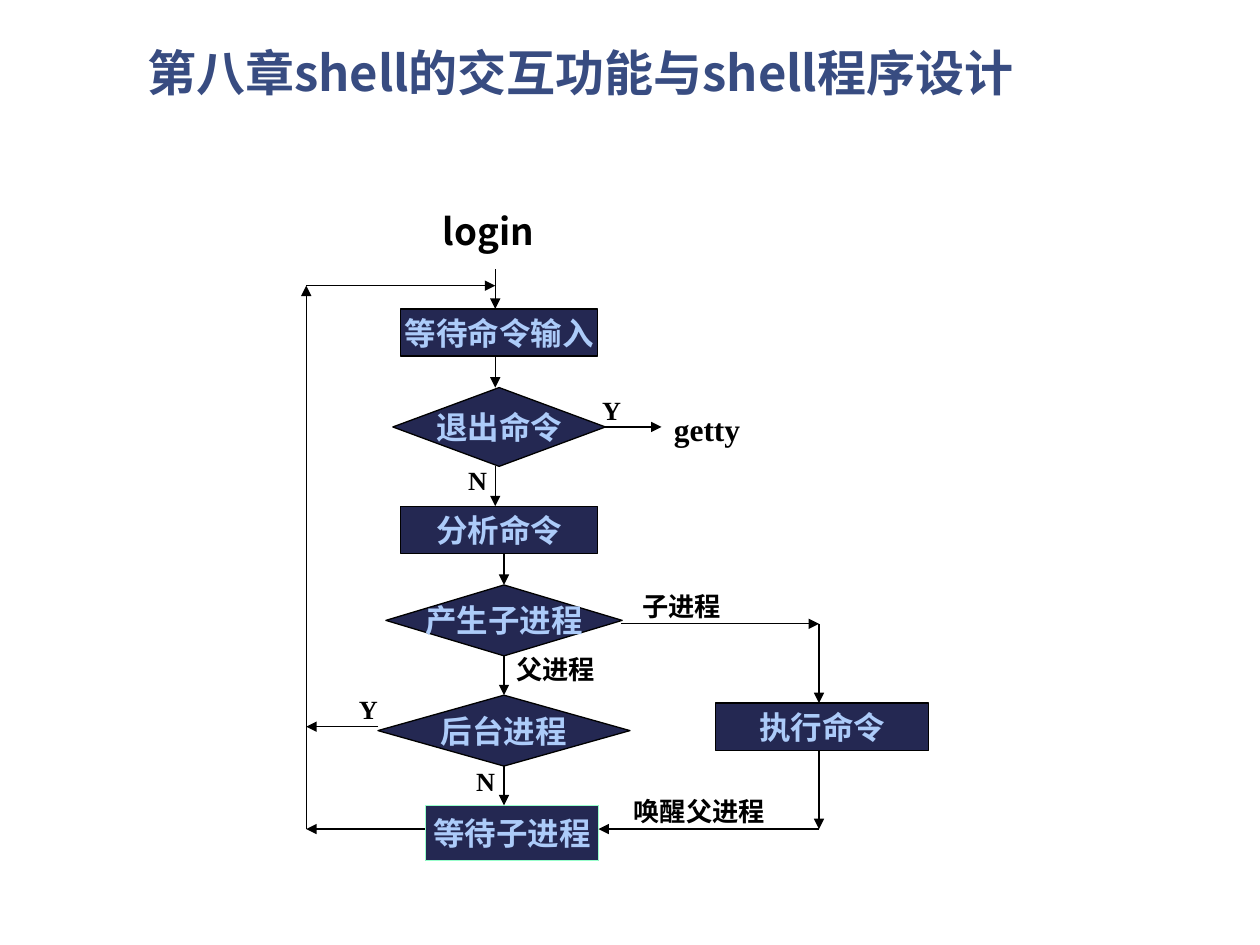
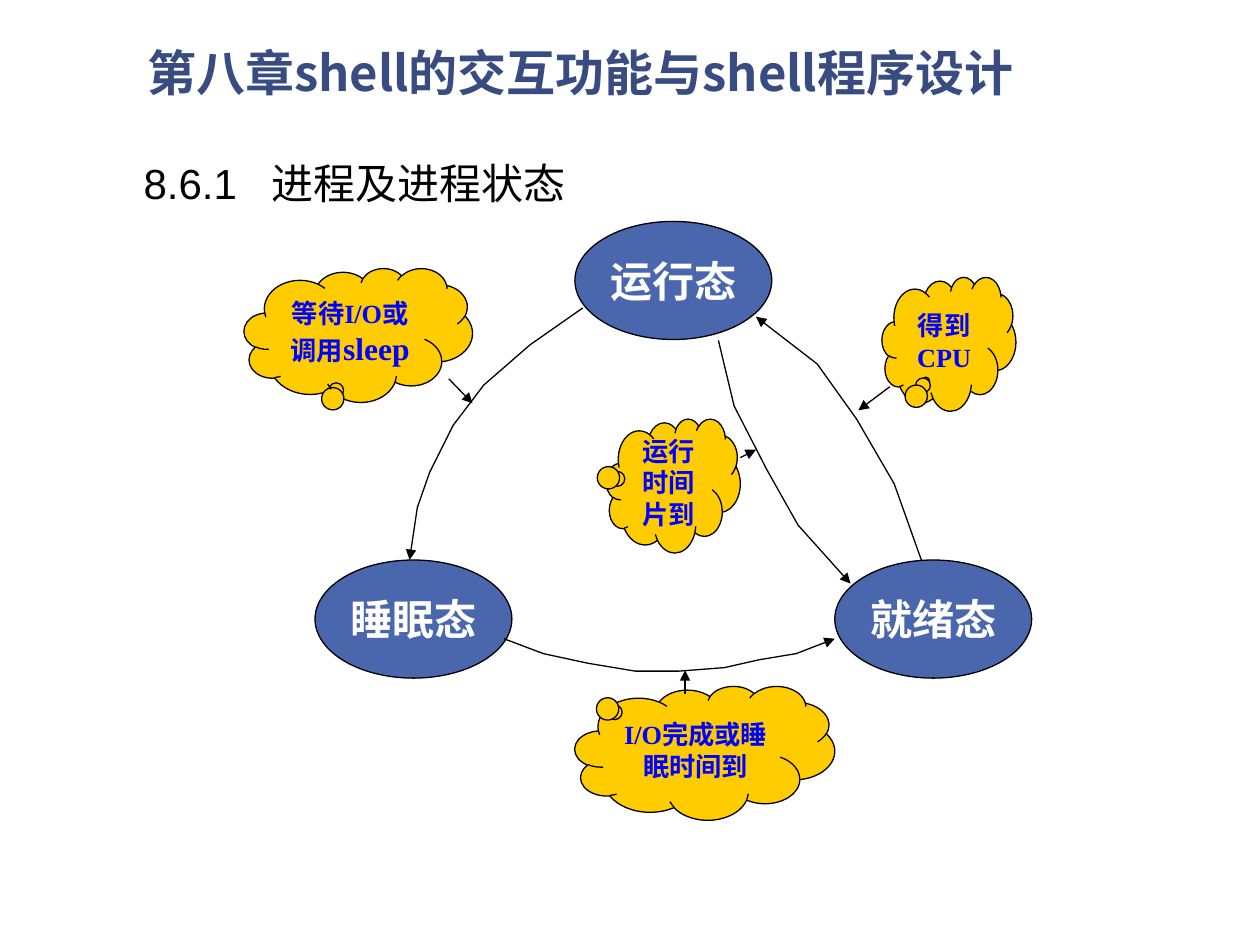
from lxml import etree
from pptx import Presentation
from pptx.dml.color import RGBColor
from pptx.enum.shapes import MSO_CONNECTOR, MSO_SHAPE
from pptx.enum.text import MSO_ANCHOR, MSO_AUTO_SIZE, PP_ALIGN
from pptx.oxml.ns import qn
from pptx.util import Pt

RECT, DECISION = MSO_SHAPE.RECTANGLE, MSO_SHAPE.FLOWCHART_DECISION
PROCESS, ELLIPSE = MSO_SHAPE.FLOWCHART_PROCESS, MSO_SHAPE.OVAL
CLOUD = MSO_SHAPE.CLOUD_CALLOUT
STRAIGHT = MSO_CONNECTOR.STRAIGHT
LEFT, CENTER = PP_ALIGN.LEFT, PP_ALIGN.CENTER
TOP, MIDDLE = MSO_ANCHOR.TOP, MSO_ANCHOR.MIDDLE
NO_FIT = MSO_AUTO_SIZE.NONE

CJK, SERIF, SANS = "Noto Sans CJK SC", "Times New Roman", "Arial"
BLACK, WHITE = "000000", "FFFFFF"
TITLE_BLUE, NAVY, PALE_BLUE = "384C81", "242852", "ACCBF9"
STATE_BLUE, GOLD, NOTE_BLUE, MINT = "4A66AC", "FFCC00", "0000FF", "99FFCC"
LINE_WIDTH = 0.75
CHAPTER = "第八章shell的交互功能与shell程序设计"

STEP_FONT = dict(size=Pt(18), name=SERIF, bold=True, color=PALE_BLUE)
LABEL_FONT = dict(size=Pt(15), name=SERIF, bold=True, color=BLACK)
STATE_FONT = dict(size=Pt(24), name=SERIF, bold=True, color=WHITE)
NOTE_FONT = dict(size=Pt(15), name=SERIF, bold=True, color=NOTE_BLUE)
TITLE_FONT = dict(size=Pt(28), name=CJK, bold=True, color=TITLE_BLUE)
LOGIN_FONT = dict(size=Pt(21), name=CJK, bold=True, color=BLACK)
HEADING_FONT = dict(size=Pt(24), name=SANS, bold=False, color=BLACK)


def rgb(value):
    return RGBColor.from_string(value)


def points(*values):
    return [Pt(value) for value in values]


def add_run(paragraph, text, font):
    run = paragraph.add_run()
    run.text = text
    for key, value in font.items():
        if key == "color":
            run.font.color.rgb = rgb(value)
        else:
            setattr(run.font, key, value)
    east_asian = etree.SubElement(run._r.get_or_add_rPr(), qn("a:ea"))
    east_asian.set("typeface", CJK)


def write(frame, text, font, align=LEFT, anchor=TOP, wrap=True):
    layout = dict(word_wrap=wrap, vertical_anchor=anchor, auto_size=NO_FIT)
    for key, value in layout.items():
        setattr(frame, key, value)
    paragraph = frame.paragraphs[0]
    paragraph.alignment = align
    add_run(paragraph, text, font)
    return paragraph


def draw_outline(line, color=BLACK):
    line.color.rgb = rgb(color)
    line.width = Pt(LINE_WIDTH)


def add_arrowhead(shape):
    tail = etree.SubElement(shape.line._get_or_add_ln(), qn("a:tailEnd"))
    tail.set("type", "triangle")


def add_titled_slide(prs):
    slide = prs.slides.add_slide(prs.slide_layouts[5])
    title = slide.shapes.title
    title.left, title.top, title.width, title.height = points(77, 26, 550, 34.5)
    paragraph = write(title.text_frame, CHAPTER, TITLE_FONT, anchor=MIDDLE)
    paragraph.line_spacing = 0.9
    return slide


def add_node(slide, kind, box, text, fill, font, wrap=False, outline=BLACK):
    node = slide.shapes.add_shape(kind, *points(*box))
    node.shadow.inherit = False
    node.fill.solid()
    node.fill.fore_color.rgb = rgb(fill)
    draw_outline(node.line, outline)
    write(node.text_frame, text, font, CENTER, MIDDLE, wrap)
    return node


def add_cloud(slide, box, text, tail):
    cloud = add_node(slide, CLOUD, box, text, GOLD, NOTE_FONT, wrap=True)
    cloud.adjustments[0], cloud.adjustments[1] = tail
    return cloud


def add_label(slide, box, text, font=LABEL_FONT):
    label = slide.shapes.add_textbox(*points(*box))
    return write(label.text_frame, text, font)


def add_arrow(slide, x1, y1, x2, y2):
    arrow = slide.shapes.add_connector(STRAIGHT, *points(x1, y1, x2, y2))
    draw_outline(arrow.line)
    add_arrowhead(arrow)
    etree.SubElement(arrow._element.spPr, qn("a:effectLst"))


def add_transition(slide, route):
    start, *rest = [points(x, y) for x, y in route]
    builder = slide.shapes.build_freeform(*start)
    builder.add_line_segments(rest, close=False)
    curve = builder.convert_to_shape()
    curve.shadow.inherit = False
    curve.fill.background()
    draw_outline(curve.line)
    add_arrowhead(curve)


def build_command_loop(prs):
    slide = add_titled_slide(prs)
    add_label(slide, (246, 116, 100, 36), "login", LOGIN_FONT)

    # Steps and decisions
    steps = [
        (RECT, (229, 176.5, 112.5, 27), "等待命令输入"),
        (RECT, (229, 289.25, 112.5, 27), "分析命令"),
        (DECISION, (224.5, 221.5, 121.5, 45), "退出命令"),
        (DECISION, (220.5, 334.25, 135, 40.5), "产生子进程"),
        (DECISION, (216, 397.25, 144, 40.5), "后台进程"),
        (RECT, (409, 401.75, 121.5, 27), "执行命令"),
    ]
    for kind, box, text in steps:
        add_node(slide, kind, box, text, NAVY, STEP_FONT)
    add_node(slide, PROCESS, (243, 460.25, 99, 31.5), "等待子进程",
             NAVY, STEP_FONT, outline=MINT)

    # Main flow downwards
    upper_x, lower_x = 283, 288
    for x, top, bottom in [
        (upper_x, 154, 176.5), (upper_x, 203.5, 221.5),
        (upper_x, 266.5, 289.25), (lower_x, 316.25, 334.25),
        (lower_x, 374.75, 397.25), (lower_x, 437.75, 460.25),
    ]:
        add_arrow(slide, x, top, x, bottom)

    # Exit, child branch and return loop
    loop_x, child_x = 175, 468
    loop_y, fork_y, wake_y, background_y = 163.25, 356.5, 473.75, 415.25
    for ends in [
        (346, 244, 378, 244),
        (355, fork_y, child_x, fork_y),
        (child_x, fork_y, child_x, 401.75),
        (child_x, 428.75, child_x, wake_y),
        (child_x, wake_y, 342, wake_y),
        (243, wake_y, loop_x, wake_y),
        (loop_x, wake_y, loop_x, loop_y),
        (loop_x, loop_y, upper_x, loop_y),
        (216, background_y, loop_x, background_y),
    ]:
        add_arrow(slide, *ends)

    # Branch labels
    add_label(slide, (378, 230.5, 72, 29), "getty", STEP_FONT | {"color": BLACK})
    for x, y, width, text in [
        (337, 221.5, 27, "Y"), (260.5, 262, 36, "N"),
        (360, 334, 78.5, "子进程"), (288, 370, 72, "父进程"),
        (355, 451, 104, "唤醒父进程"), (265, 433.5, 27, "N"),
        (198, 392.5, 31.5, "Y"),
    ]:
        add_label(slide, (x, y, width, 25), text)


def build_process_states(prs):
    slide = add_titled_slide(prs)

    # Section heading: number, tab, name
    heading = add_label(slide, (75, 86.5, 353.5, 36),
                        "8.6.1\t进程及进程状态", HEADING_FONT)
    tabs = etree.SubElement(heading._p.get_or_add_pPr(), qn("a:tabLst"))
    etree.SubElement(tabs, qn("a:tab"), pos=str(Pt(73)), algn="l")

    # States
    for x, y, state in [(328.5, 126.5, "运行态"), (477, 320, "就绪态"),
                        (180, 320, "睡眠态")]:
        add_node(slide, ELLIPSE, (x, y, 112.5, 67.5), state,
                 STATE_BLUE, STATE_FONT)

    # Transitions: run-sleep, sleep-ready, run-ready, ready-run
    for route in [
        [(333, 176), (303, 197), (276.5, 220), (259, 243), (245.5, 270),
         (238.5, 290), (234, 320)],
        [(288, 365), (310.5, 373.5), (336, 379), (363, 383.5), (388, 383.5),
         (414, 381.5), (434, 377), (455, 373.5), (477, 365)],
        [(410.5, 194.5), (419.5, 232), (438, 268), (456, 300), (486, 333.5)],
        [(526.5, 320), (511, 276.5), (489.5, 239.5), (467, 208), (432, 181)],
    ]:
        add_transition(slide, route)

    # Causes of the transitions
    waiting = add_cloud(slide, (139.5, 153.25, 130.5, 76.5), "等待I/O或调用",
                        (-0.094, 0.401))
    add_run(waiting.text_frame.paragraphs[0], "sleep",
            NOTE_FONT | {"size": Pt(18)})
    for box, cause, tail in [
        ((504, 158.25, 76.5, 76.5), "得到CPU", (-0.173, 0.277)),
        ((346.5, 239.25, 76.5, 76.5), "运行时间片到", (-0.406, -0.049)),
        ((328.5, 392, 148.5, 76.5), "I/O完成或睡眠时间到", (-0.345, -0.303)),
    ]:
        add_cloud(slide, box, cause, tail)
    for ends in [(256.5, 216.5, 270, 230.5), (391.5, 396.5, 391.5, 383),
                 (423, 261.5, 432, 257), (508.5, 221, 490.5, 234.5)]:
        add_arrow(slide, *ends)


def main():
    prs = Presentation()
    prs.slide_width, prs.slide_height = points(720, 540)
    build_command_loop(prs)
    build_process_states(prs)
    prs.save("out.pptx")


if __name__ == "__main__":
    main()
